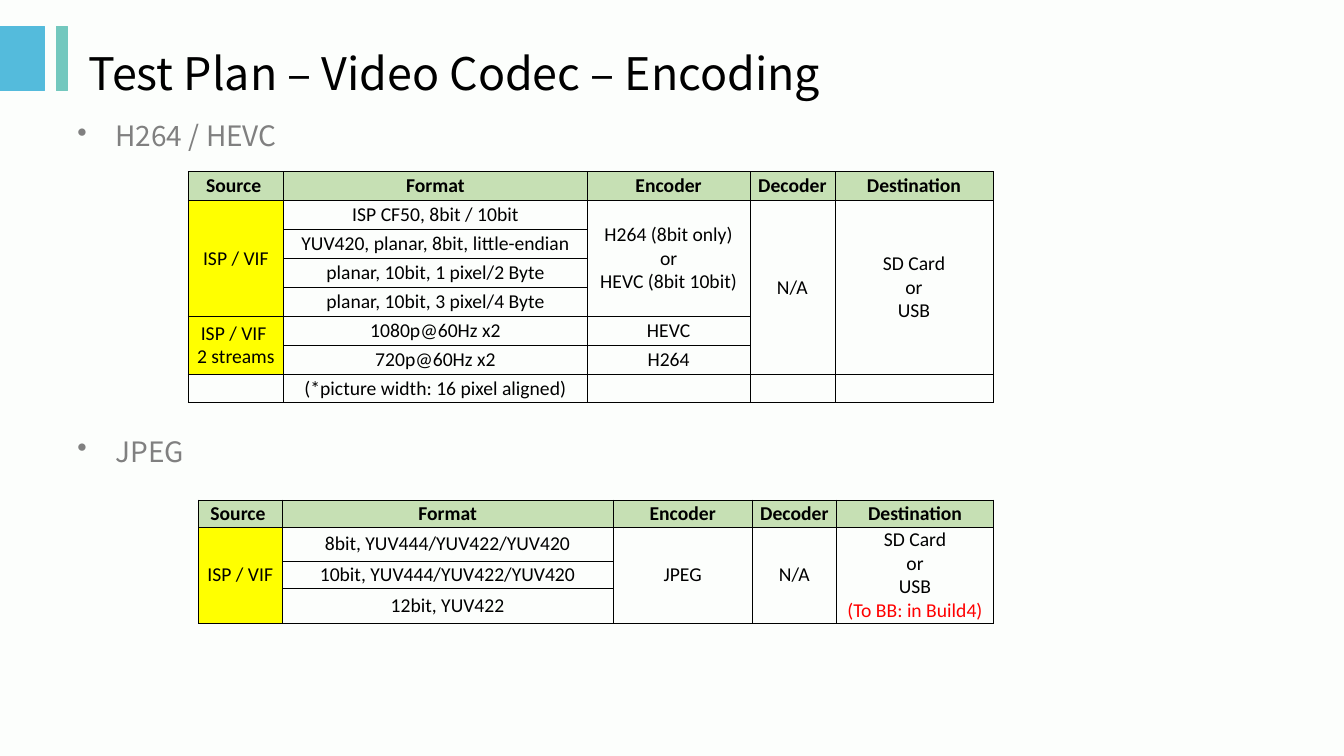
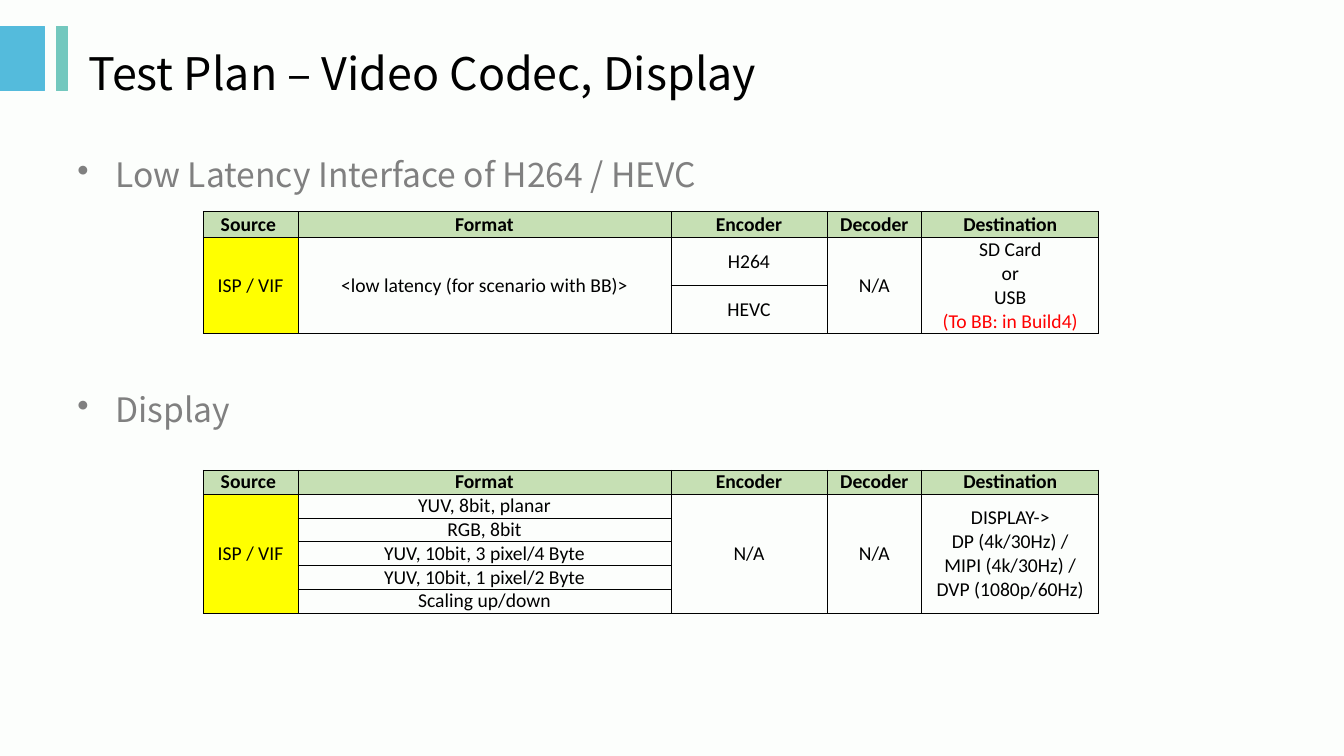
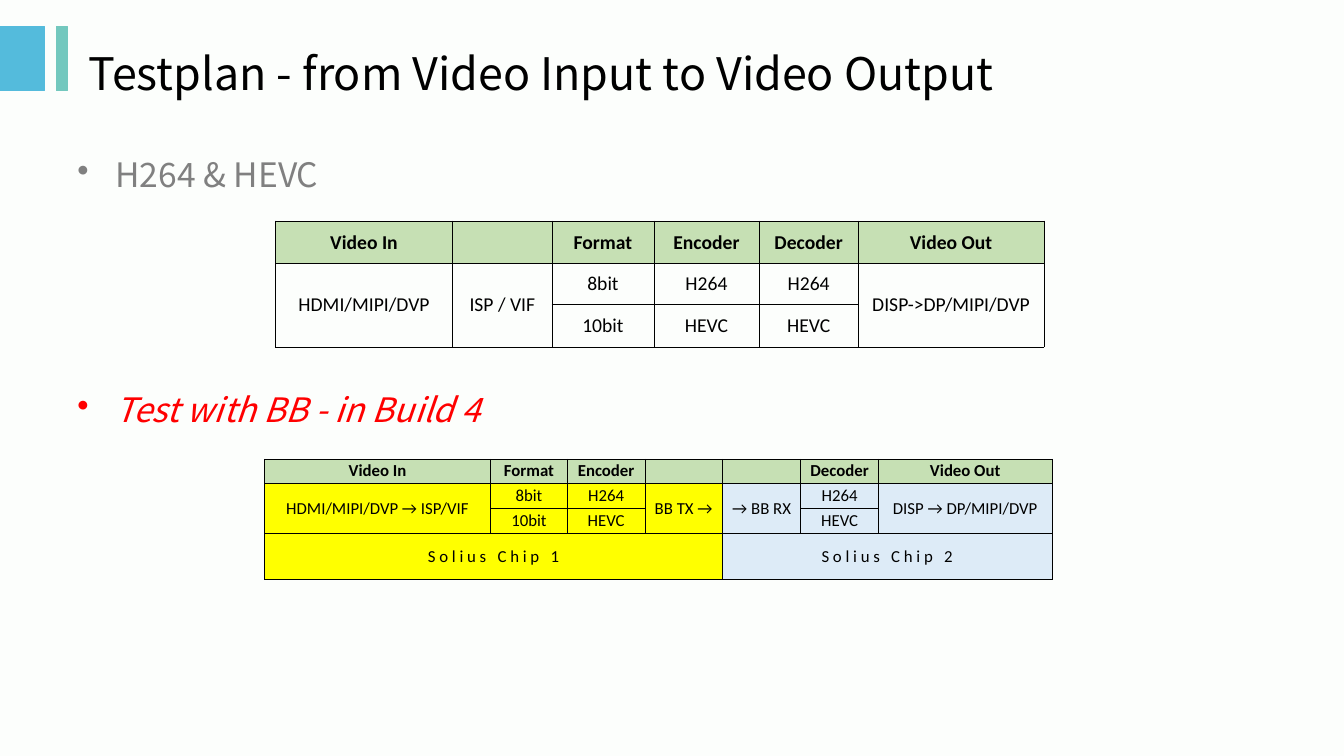
import pptx
import pptx.util
import pptx.dml.color
import pptx.enum.shapes
import pptx.enum.text
import pptx.oxml.ns
from lxml import etree

Cm, Pt = pptx.util.Cm, pptx.util.Pt
qn = pptx.oxml.ns.qn
ENUM = pptx.enum.text

HUES = {
    "page": "FCFEFC", "blue": "54BBDC", "teal": "73C8BE",
    "ink": "000000", "gray": "808080", "red": "FF0000",
    "head": "C6E0B4", "sun": "FFFF00", "ice": "DDEBF7",
}
SANS, GRID = "Noto Sans CJK SC", "Calibri"
BARS = [("blue", 0, 1.12), ("teal", 1.42, 0.28)]

# Content: "^" joins the cell above, "<" joins the cell to the left
HEAD = ["Source ", "Format", "Encoder", "Decoder", "Destination"]
CARD = "SD Card\nor\nUSB"
LATE = "(To BB: in Build4)"
WIDE = [2.39, 9.4, 3.93, 2.39, 4.46]
FIRST = ["sun", None, None, None, None]

SLIDES = [
    {
        "title": "Test Plan – Video Codec – Encoding",
        "size": 20,
        "heads": [("H264 / HEVC", 2.87, False), ("JPEG", 10.82, False)],
        "tables": [
            {
                "at": (4.74, 4.32), "size": 14, "tints": FIRST,
                "cols": [2.41, 7.65, 4.1, 2.14, 3.99],
                "rows": [0.73] * 7 + [0.71],
                "cells": [
                    HEAD,
                    ["ISP / VIF", "ISP CF50, 8bit / 10bit",
                     "H264 (8bit only)\nor\nHEVC (8bit 10bit)", "N/A", CARD],
                    ["^", "YUV420, planar, 8bit, little-endian", "^", "^", "^"],
                    ["^", "planar, 10bit, 1 pixel/2 Byte", "^", "^", "^"],
                    ["^", "planar, 10bit, 3 pixel/4 Byte", "^", "^", "^"],
                    ["ISP / VIF \n2 streams", "1080p@60Hz x2", "HEVC", "^", "^"],
                    ["^", "720p@60Hz x2", "H264", "^", "^"],
                    ["", "(*picture width: 16 pixel aligned)", "", "", ""],
                ],
            },
            {
                "at": (5, 12.6), "size": 14, "tints": FIRST,
                "cols": [2.11, 8.34, 3.51, 2.12, 3.96],
                "rows": [0.68, 0.86, 0.68, 0.89],
                "cells": [
                    HEAD,
                    ["ISP / VIF", "8bit, YUV444/YUV422/YUV420", "JPEG", "N/A",
                     CARD + "\n" + LATE],
                    ["^", "10bit, YUV444/YUV422/YUV420", "^", "^", "^"],
                    ["^", "12bit, YUV422", "^", "^", "^"],
                ],
            },
        ],
    },
    {
        "title": "Test Plan – Video Codec, Display",
        "size": 24,
        "heads": [("Low Latency Interface of H264 / HEVC", 3.76, False),
                  ("Display", 9.68, False)],
        "tables": [
            {
                "at": (5.12, 5.33), "size": 14, "tints": FIRST,
                "cols": WIDE,
                "rows": [0.66, 1.2, 1.22],
                "cells": [
                    HEAD,
                    ["ISP / VIF", "<low latency (for scenario with BB)>", "H264",
                     "N/A", CARD + "\n" + LATE],
                    ["^", "^", "HEVC", "^", "^"],
                ],
            },
            {
                "at": (5.12, 11.85), "size": 14, "tints": FIRST,
                "cols": WIDE,
                "rows": [0.6] * 6,
                "cells": [
                    HEAD,
                    ["ISP / VIF", "YUV, 8bit, planar", "N/A", "N/A",
                     "DISPLAY->\nDP (4k/30Hz) /\nMIPI (4k/30Hz) /\nDVP (1080p/60Hz)"],
                    ["^", "RGB, 8bit", "^", "^", "^"],
                    ["^", "YUV, 10bit, 3 pixel/4 Byte", "^", "^", "^"],
                    ["^", "YUV, 10bit, 1 pixel/2 Byte", "^", "^", "^"],
                    ["^", "Scaling up/down", "^", "^", "^"],
                ],
            },
        ],
    },
    {
        "title": "Testplan - from Video Input to Video Output",
        "size": 24,
        "heads": [("H264 & HEVC", 3.76, False),
                  ("Test with BB - in Build 4", 9.68, True)],
        "tables": [
            {
                "at": (6.94, 5.57), "size": 14, "tints": [None] * 6,
                "cols": [4.47, 2.5, 2.57, 2.65, 2.5, 4.68],
                "rows": [1.07, 1.03, 1.07],
                "cells": [
                    ["Video In", "", "Format", "Encoder", "Decoder", "Video Out"],
                    ["HDMI/MIPI/DVP", "ISP / VIF", "8bit", "H264", "H264",
                     "DISP->DP/MIPI/DVP"],
                    ["^", "^", "10bit", "HEVC", "HEVC", "^"],
                ],
            },
            {
                "at": (6.67, 11.57), "size": 12,
                "tints": ["sun"] * 4 + ["ice"] * 3,
                "cols": [5.69, 1.94, 1.95, 1.96, 1.97, 1.96, 4.37],
                "rows": [0.61, 0.64, 0.62, 1.16],
                "loose": 3,
                "cells": [
                    ["Video In", "Format", "Encoder", "", "", "Decoder", "Video Out"],
                    ["HDMI/MIPI/DVP → ISP/VIF", "8bit", "H264", "BB TX →",
                     "→ BB RX", "H264", "DISP → DP/MIPI/DVP"],
                    ["^", "10bit", "HEVC", "^", "^", "HEVC", "^"],
                    ["Solius Chip 1", "<", "<", "<", "Solius Chip 2", "<", "<"],
                ],
            },
        ],
    },
]


def hue(name):
    return pptx.dml.color.RGBColor.from_string(HUES[name])


def style(para, face, size, ink="ink", bold=False, slant=False):
    for run in para.runs:
        font = run.font
        font.name, font.size = face, Pt(size)
        font.bold, font.italic = bold, slant
        font.color.rgb = hue(ink)


# Shared frame: two bars and the title
def frame(slide, text):
    for name, left, width in BARS:
        bar = slide.shapes.add_shape(
            pptx.enum.shapes.MSO_SHAPE.RECTANGLE,
            Cm(left), Cm(0.66), Cm(width), Cm(1.63))
        bar.shadow.inherit = False
        bar.fill.solid()
        bar.fill.fore_color.rgb = hue(name)
        bar.line.color.rgb = hue(name)
        bar.line.width = Pt(0.75)
    title = slide.shapes.title
    title.left, title.top = Cm(1.98), Cm(0.66)
    title.width, title.height = Cm(30.18), Cm(2.34)
    body = title.text_frame
    body.text = text
    body.auto_size = ENUM.MSO_AUTO_SIZE.NONE
    body.vertical_anchor = ENUM.MSO_ANCHOR.MIDDLE
    body.paragraphs[0].alignment = ENUM.PP_ALIGN.LEFT
    style(body.paragraphs[0], SANS, 32)


# Bulleted heading above a table
def heading(slide, text, top, size, alert):
    box = slide.shapes.add_textbox(Cm(1.7), Cm(top), Cm(30.48), Cm(1.3))
    box.text_frame.word_wrap = True
    para = box.text_frame.paragraphs[0]
    para.text = text
    props = para._p.get_or_add_pPr()
    props.set("marL", str(Cm(0.96)))
    props.set("indent", str(-Cm(0.96)))
    etree.SubElement(props, qn("a:buChar"), char="•")
    style(para, SANS, size, "red" if alert else "gray", slant=alert)


def border(cell):
    props = cell._tc.get_or_add_tcPr()
    for side in ("lnL", "lnR", "lnT", "lnB"):
        line = etree.SubElement(props, qn("a:" + side), w=str(Pt(0.5)))
        fill = etree.SubElement(line, qn("a:solidFill"))
        etree.SubElement(fill, qn("a:srgbClr"), val=HUES["ink"])


def paint(cell, text, size, tint, bold, gap):
    cell.margin_left = cell.margin_right = 0
    cell.margin_top = cell.margin_bottom = 0
    cell.vertical_anchor = ENUM.MSO_ANCHOR.MIDDLE
    border(cell)
    if tint:
        cell.fill.solid()
        cell.fill.fore_color.rgb = hue(tint)
    else:
        cell.fill.background()
    cell.text_frame.text = text
    for para in cell.text_frame.paragraphs:
        para.alignment = ENUM.PP_ALIGN.CENTER
        style(para, GRID, size, "red" if para.text == LATE else "ink", bold)
        if gap:
            for run in para.runs:
                run.font._element.set("spc", str(gap))
        # Keeps empty cells from stretching their row
        etree.SubElement(para._p, qn("a:endParaRPr"), sz=str(size * 100))


def table(slide, data):
    cells, cols, rows = data["cells"], data["cols"], data["rows"]
    left, top = data["at"]
    grid = slide.shapes.add_table(
        len(rows), len(cols), Cm(left), Cm(top),
        Cm(sum(cols)), Cm(sum(rows))).table
    grid.first_row = grid.horz_banding = False
    for col, width in zip(grid.columns, cols):
        col.width = Cm(width)
    for row, height in zip(grid.rows, rows):
        row.height = Cm(height)
    for r, line in enumerate(cells):
        for c, text in enumerate(line):
            joined = text in ("^", "<")
            tint = "head" if r == 0 else data["tints"][c] if text else None
            gap = 270 if r == data.get("loose") else 0
            paint(grid.cell(r, c), "" if joined else text,
                  data["size"], tint, r == 0, gap)
            if joined:
                continue
            low, far = r, c
            while low + 1 < len(rows) and cells[low + 1][c] == "^":
                low += 1
            while far + 1 < len(cols) and line[far + 1] == "<":
                far += 1
            if (low, far) != (r, c):
                grid.cell(r, c).merge(grid.cell(low, far))


def main():
    deck = pptx.Presentation()
    deck.slide_width, deck.slide_height = Cm(33.87), Cm(19.05)
    back = deck.slide_master.background.fill
    back.solid()
    back.fore_color.rgb = hue("page")
    for data in SLIDES:
        slide = deck.slides.add_slide(deck.slide_layouts[5])
        frame(slide, data["title"])
        for text, top, alert in data["heads"]:
            heading(slide, text, top, data["size"], alert)
        for item in data["tables"]:
            table(slide, item)
    deck.save("out.pptx")


if __name__ == "__main__":
    main()
